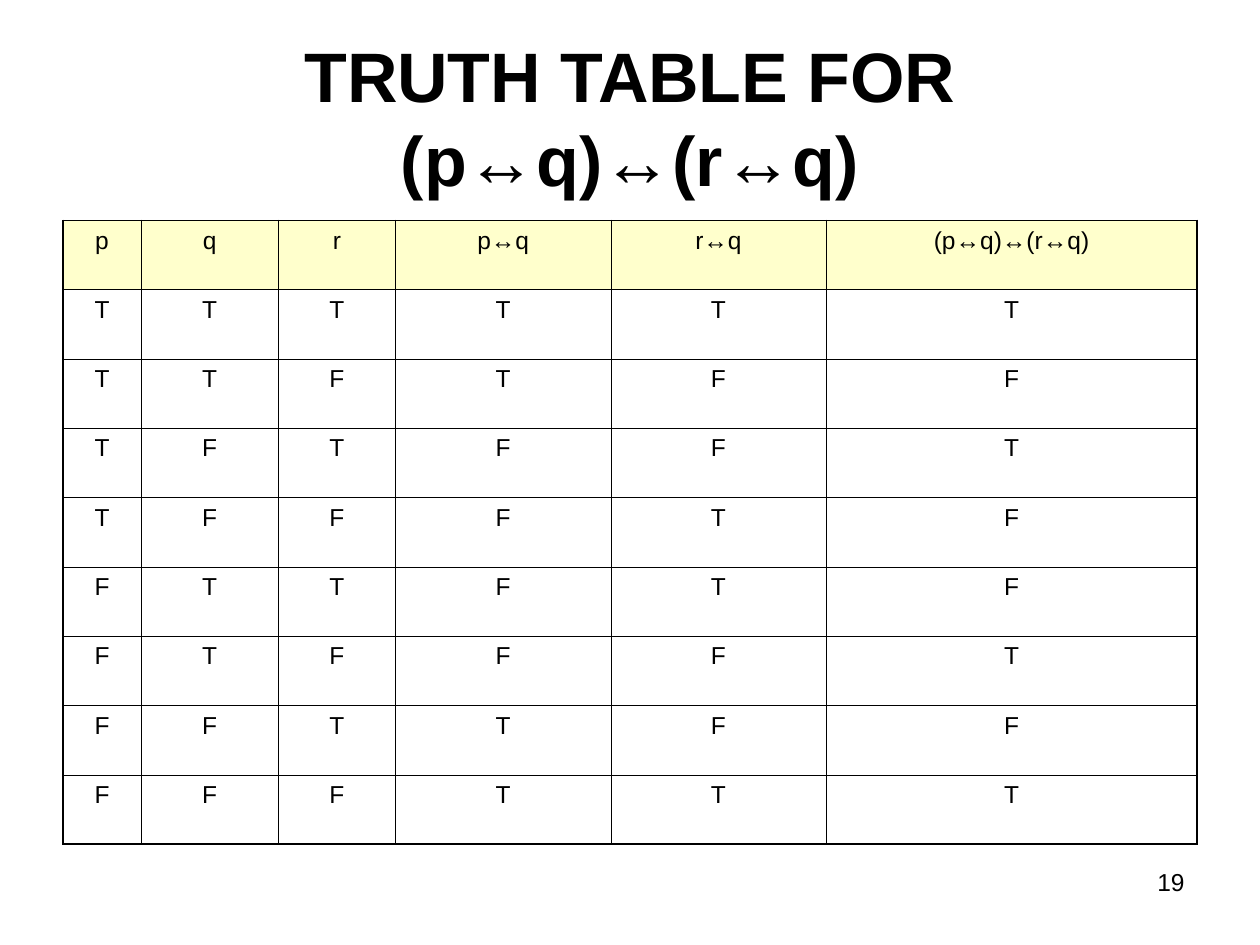
from lxml import etree
from pptx import Presentation
from pptx.dml.color import RGBColor
from pptx.enum.text import MSO_ANCHOR, MSO_AUTO_SIZE, PP_ALIGN
from pptx.oxml.ns import qn
from pptx.util import Pt

CENTER, RIGHT = PP_ALIGN.CENTER, PP_ALIGN.RIGHT
TOP, MIDDLE = MSO_ANCHOR.TOP, MSO_ANCHOR.MIDDLE
NO_FIT = MSO_AUTO_SIZE.NONE

# Content
TITLE = "TRUTH TABLE FOR\v(p↔q)↔(r↔q)"
PAGE = "19"
HEAD = ["p", "q", "r", "p↔q", "r↔q", "(p↔q)↔(r↔q)"]
ROWS = ["TTTTTT", "TTFTFF", "TFTFFT", "TFFFTF",
        "FTTFTF", "FTFFFT", "FFTTFF", "FFFTTT"]

# Layout and style
LEFT, WIDTH = 36, 648
COLS = [44.6, 78.5, 67, 123, 123, 212]
ROW_H = 39.6
THIN, THICK = 0.45, 1.08
BLACK, CREAM = "000000", "FFFFCC"


def color(code):
    return RGBColor.from_string(code)


def style(para, size, align, bold=False):
    para.alignment = align
    font = para.font
    font.name, font.size, font.bold = "Arial", Pt(size), bold
    font.color.rgb = color(BLACK)


def place(shape, x, y, w, h):
    shape.left, shape.top, shape.width, shape.height = map(Pt, (x, y, w, h))


def edge(cell, side, width, pos):
    line = etree.Element(qn("a:ln" + side), w=str(Pt(width)))
    fill = etree.SubElement(line, qn("a:solidFill"))
    etree.SubElement(fill, qn("a:srgbClr"), val=BLACK)
    # Borders come before the fill in the cell properties
    cell._tc.get_or_add_tcPr().insert(pos, line)


deck = Presentation()
deck.slide_width, deck.slide_height = Pt(720), Pt(540)
slide = deck.slides.add_slide(deck.slide_layouts[5])

# Page number
page = slide.shapes.add_textbox(Pt(516), Pt(492), Pt(168), Pt(37.5))
page.text_frame.word_wrap = True
page.text_frame.text = PAGE
style(page.text_frame.paragraphs[0], 14, RIGHT)

# Title
title = slide.shapes.title
place(title, LEFT, 21.6, WIDTH, 90)
frame = title.text_frame
frame.text = TITLE
frame.auto_size, frame.vertical_anchor = NO_FIT, MIDDLE
style(frame.paragraphs[0], 40, CENTER, True)

# Truth table
data = [HEAD] + [list(row) for row in ROWS]
last_r, last_c = len(data) - 1, len(HEAD) - 1
table = slide.shapes.add_table(len(data), len(HEAD), Pt(LEFT), Pt(126),
                               Pt(WIDTH), Pt(ROW_H * len(data))).table
for col, width in zip(table.columns, COLS):
    col.width = Pt(width)
for r, row in enumerate(data):
    table.rows[r].height = Pt(ROW_H)
    for c, text in enumerate(row):
        cell = table.cell(r, c)
        cell.text = text
        cell.vertical_anchor = TOP
        style(cell.text_frame.paragraphs[0], 14, CENTER)
        if r == 0:
            cell.fill.solid()
            cell.fill.fore_color.rgb = color(CREAM)
        else:
            cell.fill.background()
        outer = {"L": c == 0, "R": c == last_c, "T": r == 0, "B": r == last_r}
        for pos, (side, out) in enumerate(outer.items()):
            edge(cell, side, THICK if out else THIN, pos)

deck.save("out.pptx")
